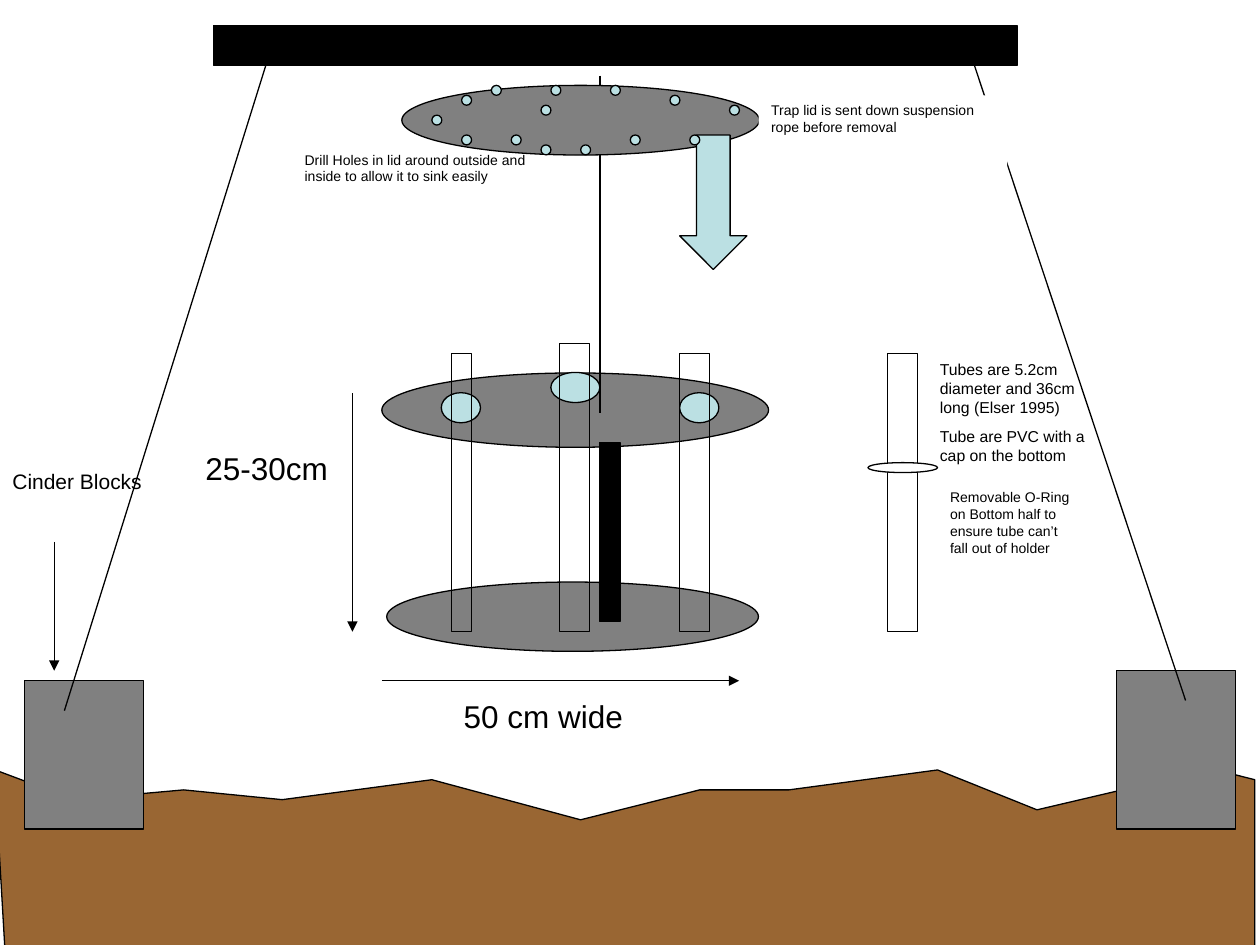
import dataclasses

import lxml.etree
import pptx
import pptx.dml.color
import pptx.enum.shapes
import pptx.enum.text
import pptx.oxml.ns
import pptx.util

Pt = pptx.util.Pt
SHAPE = pptx.enum.shapes.MSO_SHAPE
BLANK_LAYOUT = 6


def rgb(code):
    return pptx.dml.color.RGBColor.from_string(code)


@dataclasses.dataclass(frozen=True)
class Theme:
    ink: str = "000000"
    paper: str = "FFFFFF"
    concrete: str = "808080"
    water: str = "BBE0E3"
    soil: str = "996633"
    font: str = "Arial"
    note: int = 8
    detail: int = 9
    label: int = 12
    dimension: int = 18
    outline: float = 0.75


class Diagram:
    """Draws on one slide in one theme; all lengths are in points."""

    def __init__(self, slide, theme):
        self.slide = slide
        self.theme = theme

    def paint(self, shape, fill, outlined=True):
        shape.shadow.inherit = False
        if fill:
            shape.fill.solid()
            shape.fill.fore_color.rgb = rgb(fill)
        else:
            shape.fill.background()
        if outlined:
            self.stroke(shape.line)
        else:
            shape.line.fill.background()

    def stroke(self, line):
        line.color.rgb = rgb(self.theme.ink)
        line.width = Pt(self.theme.outline)

    def shape(self, kind, left, top, width, height, fill=None, outlined=True):
        shape = self.slide.shapes.add_shape(
            kind, Pt(left), Pt(top), Pt(width), Pt(height))
        self.paint(shape, fill, outlined)
        return shape

    def outline(self, points, fill):
        corners = [(Pt(x), Pt(y)) for x, y in points]
        builder = self.slide.shapes.build_freeform(*corners[0])
        builder.add_line_segments(corners[1:], close=True)
        self.paint(builder.convert_to_shape(), fill)

    def line(self, x1, y1, x2, y2, arrow=False):
        connector = self.slide.shapes.add_connector(
            pptx.enum.shapes.MSO_CONNECTOR.STRAIGHT,
            Pt(x1), Pt(y1), Pt(x2), Pt(y2))
        self.stroke(connector.line)
        qn = pptx.oxml.ns.qn
        properties = connector.element.spPr
        if arrow:
            lxml.etree.SubElement(properties.find(qn("a:ln")), qn("a:tailEnd"),
                                  type="triangle")
        lxml.etree.SubElement(properties, qn("a:effectLst"))

    def text(self, left, top, width, height, size, *paragraphs):
        box = self.slide.shapes.add_textbox(
            Pt(left), Pt(top), Pt(width), Pt(height))
        self.set_text(box, size, *paragraphs)

    def set_text(self, shape, size, *paragraphs):
        frame = shape.text_frame
        frame_format = {
            "word_wrap": True,
            "vertical_anchor": pptx.enum.text.MSO_ANCHOR.TOP,
            "margin_left": Pt(7.2), "margin_right": Pt(7.2),
            "margin_top": Pt(3.6), "margin_bottom": Pt(3.6),
        }
        for name, value in frame_format.items():
            setattr(frame, name, value)
        font_format = {"name": self.theme.font, "size": Pt(size)}
        for index, wording in enumerate(paragraphs):
            paragraph = frame.add_paragraph() if index else frame.paragraphs[0]
            paragraph.text = wording
            paragraph.alignment = pptx.enum.text.PP_ALIGN.LEFT
            if index:
                paragraph.space_before = Pt(5.6)
            for name, value in font_format.items():
                setattr(paragraph.font, name, value)
            paragraph.font.color.rgb = rgb(self.theme.ink)


def draw_trap(diagram):
    theme = diagram.theme
    diagram.shape(SHAPE.OVAL, 221, 332.6, 212.4, 39.6, theme.concrete)
    diagram.shape(SHAPE.OVAL, 218.2, 213.1, 221, 42.5, theme.concrete)
    for left, top, width in [(388.4, 224.4, 22.4), (252.2, 224.4, 22.4),
                             (314.8, 212.8, 28)]:
        diagram.shape(SHAPE.OVAL, left, top, width, 17.2, theme.water)
    for left, top, width, height in [(258.1, 202, 11.4, 159),
                                     (388.4, 202, 17.2, 159),
                                     (319.8, 196.4, 17.2, 164.4)]:
        diagram.shape(SHAPE.RECTANGLE, left, top, width, height)
    diagram.shape(SHAPE.RECTANGLE, 342.8, 252.8, 11.5, 102.2, theme.ink)


def draw_frame(diagram):
    """Draw the beam, the ropes, the ground and the cinder blocks."""
    theme = diagram.theme
    diagram.shape(SHAPE.RECTANGLE, 121.8, 14.8, 459.4, 22.5, theme.ink)
    diagram.line(342.8, 43.2, 342.8, 236.2)
    ground = [(-2.8, 440), (42.5, 457), (105, 451.4), (161.3, 457),
              (246.8, 445.6), (331.8, 468.5), (399.8, 451.4), (450.8, 451.4),
              (535.8, 440), (592.6, 462.8), (666, 445.6), (695, 440),
              (717, 445.6), (717, 542), (2.8, 542), (-2.8, 445.6)]
    diagram.outline(ground, theme.soil)
    for left, top in [(14, 389), (638, 383.3)]:
        diagram.shape(SHAPE.RECTANGLE, left, top, 68, 473.8 - top, theme.concrete)
    diagram.line(36.8, 406.1, 155.5, 25.9)
    diagram.line(677.5, 400.3, 553, 25.9)


def draw_lid(diagram):
    theme = diagram.theme
    diagram.shape(SHAPE.OVAL, 229.6, 48.8, 204.3, 39.8, theme.concrete)
    note = diagram.shape(SHAPE.RECTANGLE, 433.5, 54.5, 142, 41, theme.paper,
                         outlined=False)
    diagram.set_text(note, theme.note,
                     "Trap lid is sent down suspension rope before removal")
    diagram.shape(SHAPE.DOWN_ARROW, 388.4, 77.2, 38.4, 76.8, theme.water)


def draw_lid_holes(diagram):
    """Place the drill holes on a grid whose step is one hole diameter."""
    step = 5.67
    columns_by_row = {0: (6, 12, 18), 1: (3, 24), 2: (11, 30), 3: (0,),
                      5: (3, 8, 20, 26), 6: (11, 15)}
    for row, columns in columns_by_row.items():
        for column in columns:
            diagram.shape(SHAPE.OVAL, 246.8 + column * step, 48.8 + row * step,
                          step, step, diagram.theme.water)


def draw_dimensions(diagram):
    theme = diagram.theme
    diagram.line(218.2, 389, 422.4, 389, arrow=True)
    diagram.text(257.8, 394.8, 142, 29, theme.dimension, "50 cm wide")
    diagram.line(201.4, 224.6, 201.4, 361, arrow=True)
    diagram.text(110.2, 253, 102.2, 62, theme.dimension, "25-30cm")
    diagram.line(31, 309.6, 31, 383.3, arrow=True)
    diagram.text(0, 264.4, 99.4, 21.6, theme.label, "Cinder Blocks")


def draw_tube_detail(diagram):
    theme = diagram.theme
    diagram.text(530, 202.2, 102.2, 83.5, theme.detail,
                 "Tubes are 5.2cm diameter and 36cm long (Elser 1995)",
                 "Tube are PVC with a cap on the bottom")
    diagram.shape(SHAPE.RECTANGLE, 507.2, 202, 17.2, 159, theme.paper)
    diagram.shape(SHAPE.OVAL, 496, 264.4, 39.8, 5.67, theme.paper)
    diagram.text(535.8, 275.8, 85, 46, theme.note,
                 "Removable O-Ring on Bottom half to ensure tube can’t "
                 "fall out of holder")


def main():
    presentation = pptx.Presentation()
    presentation.slide_width, presentation.slide_height = Pt(720), Pt(540)
    slide = presentation.slides.add_slide(presentation.slide_layouts[BLANK_LAYOUT])
    diagram = Diagram(slide, Theme())
    for draw in (draw_trap, draw_frame, draw_lid, draw_dimensions,
                 draw_tube_detail, draw_lid_holes):
        draw(diagram)
    diagram.text(167, 82.8, 159, 41, diagram.theme.note,
                 "Drill Holes in lid around outside and inside to allow it "
                 "to sink easily")
    presentation.save("out.pptx")


if __name__ == "__main__":
    main()
